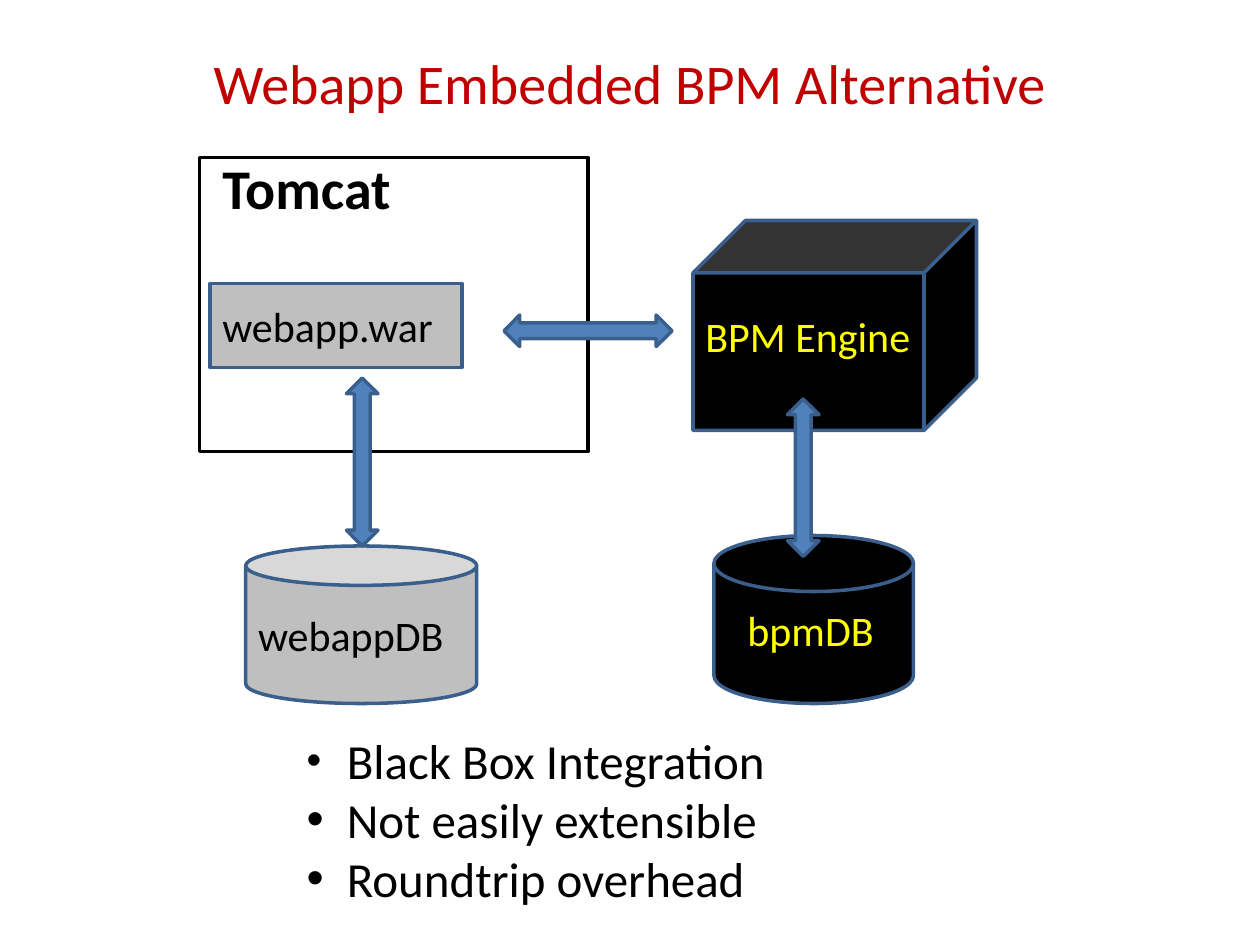
import pptx
import pptx.util
import pptx.dml.color
import pptx.enum.shapes
import pptx.enum.text
import pptx.oxml.ns
import lxml.etree

Pt = pptx.util.Pt
SHAPE = pptx.enum.shapes.MSO_SHAPE
ALIGN = pptx.enum.text.PP_ALIGN


def color(value):
    return pptx.dml.color.RGBColor.from_string(value)


def write(paragraph, text, size=24, fill="000000", bold=False, align=ALIGN.LEFT):
    paragraph.alignment = align
    run = paragraph.add_run()
    run.text = text
    run.font.name = "Calibri"
    run.font.size = Pt(size)
    run.font.bold = bold
    run.font.color.rgb = color(fill)


presentation = pptx.Presentation()
presentation.slide_width = Pt(720)
presentation.slide_height = Pt(540)
slide = presentation.slides.add_slide(presentation.slide_layouts[1])

title = slide.shapes.title
title.left, title.top, title.width, title.height = Pt(36), Pt(21.6), Pt(648), Pt(50.4)
title.text_frame.vertical_anchor = pptx.enum.text.MSO_ANCHOR.MIDDLE
write(title.text_frame.paragraphs[0], "Webapp Embedded BPM Alternative",
      size=32, fill="C00000", align=ALIGN.CENTER)

blue = "3A5F8C"
diagram = [
    (SHAPE.RECTANGLE, 114, 90, 222, 168, None, "000000", 0),
    (SHAPE.RECTANGLE, 120, 162, 144, 48, "BFBFBF", blue, 0),
    (SHAPE.CAN, 140.4, 312, 132, 90, "BFBFBF", blue, 0),
    (SHAPE.UP_DOWN_ARROW, 198, 216, 18, 96, "4F81BD", blue, 0),
    (SHAPE.CUBE, 396, 126, 162, 120, "000000", blue, 0),
    (SHAPE.FLOWCHART_MAGNETIC_DISK, 408, 306, 114, 96, "000000", blue, 0),
    (SHAPE.UP_DOWN_ARROW, 450, 228, 18, 90, "4F81BD", blue, 0),
    (SHAPE.UP_DOWN_ARROW, 327, 141, 18, 96, "4F81BD", blue, 270),
]
for kind, left, top, width, height, fill, line, rotation in diagram:
    shape = slide.shapes.add_shape(kind, Pt(left), Pt(top), Pt(width), Pt(height))
    shape.shadow.inherit = False
    shape.rotation = rotation
    shape.line.color.rgb = color(line)
    shape.line.width = Pt(2)
    if fill:
        shape.fill.solid()
        shape.fill.fore_color.rgb = color(fill)
    else:
        shape.fill.background()

labels = [
    ("Tomcat", 120, 84, 150, 46, {"size": 32, "bold": True}),
    ("webapp.war", 120, 168, 144, 36, {}),
    ("webappDB", 140.4, 345, 136, 36, {}),
    ("BPM Engine", 396, 174, 132, 36, {"fill": "FFFF00"}),
    ("bpmDB", 420, 342, 108, 36, {"fill": "FFFF00"}),
]
for text, left, top, width, height, style in labels:
    label = slide.shapes.add_textbox(Pt(left), Pt(top), Pt(width), Pt(height))
    label.text_frame.word_wrap = True
    write(label.text_frame.paragraphs[0], text, **style)

body = slide.placeholders[1]
body.left, body.top, body.width, body.height = Pt(168), Pt(414), Pt(312), Pt(109)
body.text_frame.auto_size = pptx.enum.text.MSO_AUTO_SIZE.NONE
bullets = [
    ("Black Box Integration", 86),
    ("Not easily extensible", 100),
    ("Roundtrip overhead", 100),
]
for index, (text, bullet_percent) in enumerate(bullets):
    paragraph = body.text_frame.paragraphs[0] if index == 0 else body.text_frame.add_paragraph()
    paragraph.space_before = Pt(0)
    properties = paragraph._p.get_or_add_pPr()
    properties.set("marL", str(Pt(23)))
    properties.set("indent", str(-Pt(23)))
    for tag, attributes in [
        ("a:buSzPct", {"val": str(bullet_percent * 1000)}),
        ("a:buFont", {"typeface": "Arial"}),
        ("a:buChar", {"char": "•"}),
    ]:
        lxml.etree.SubElement(properties, pptx.oxml.ns.qn(tag), attributes)
    write(paragraph, text, size=28)

presentation.save("out.pptx")
